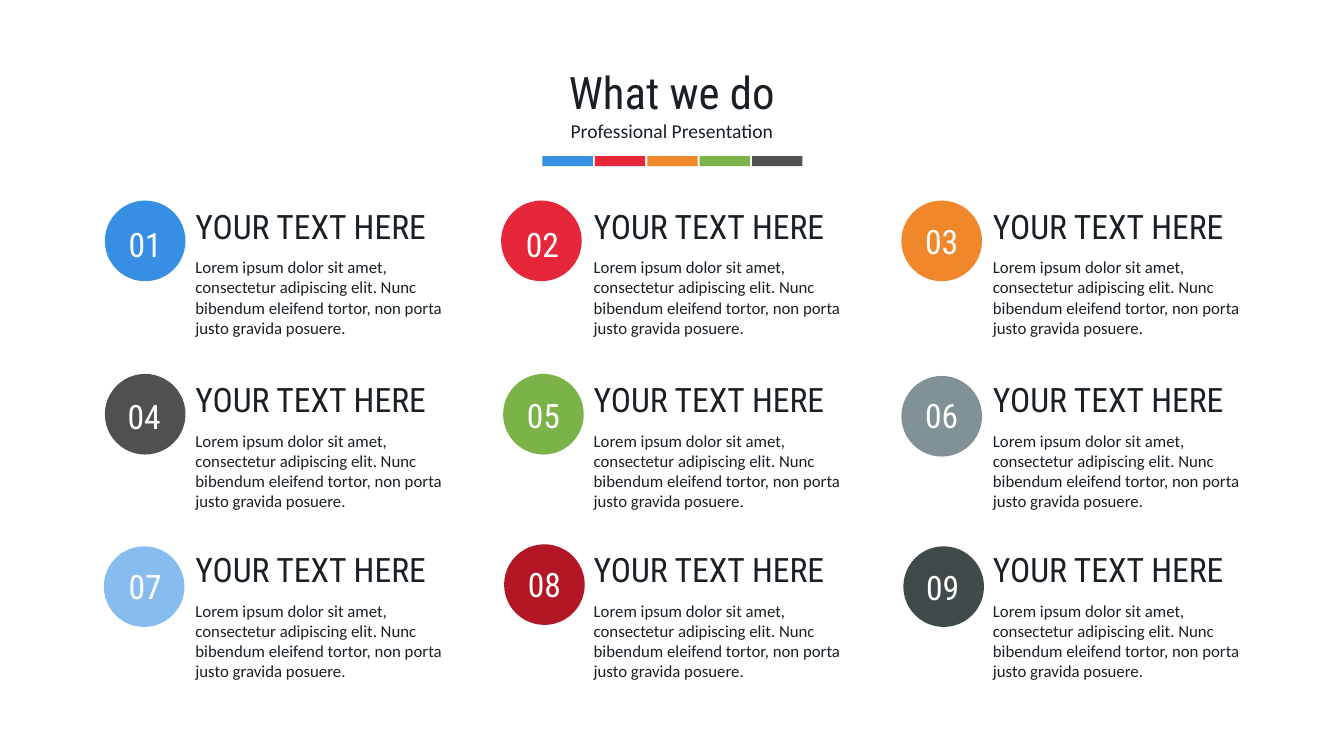
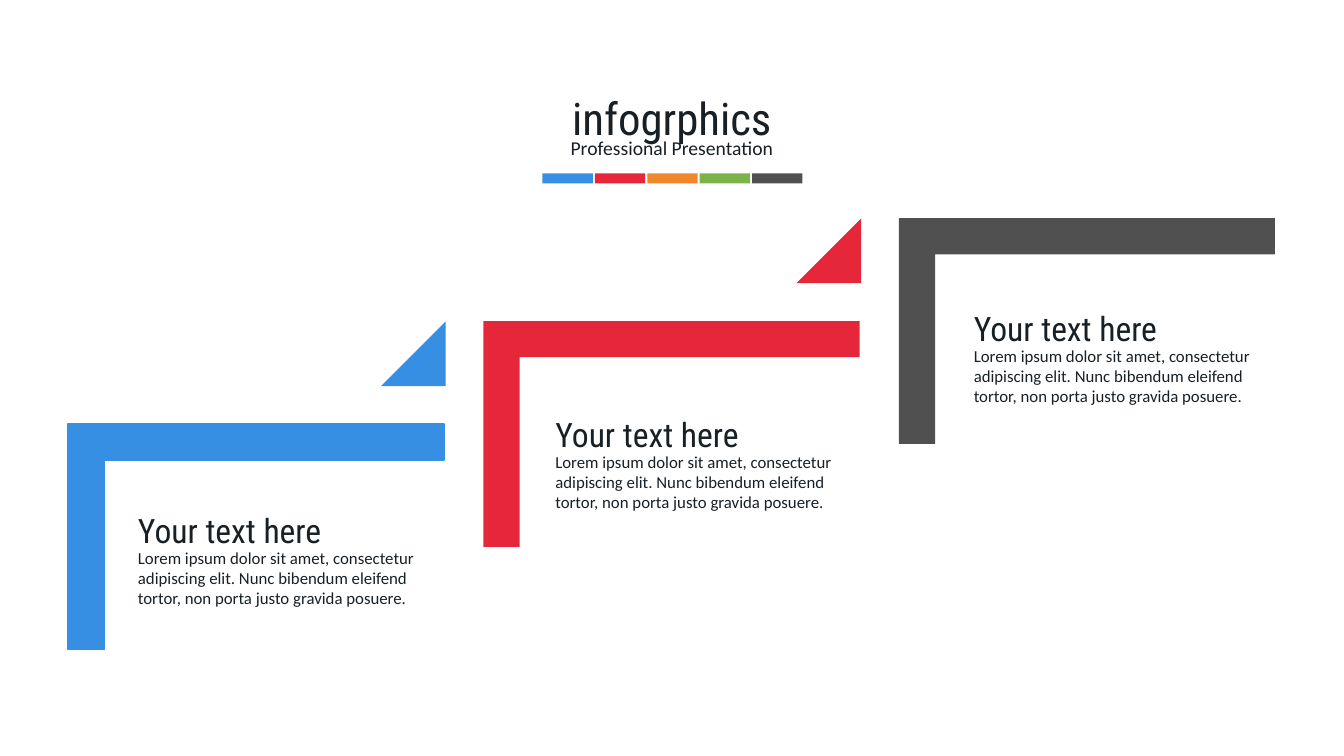
import pptx
import pptx.dml.color
import pptx.enum.shapes
import pptx.enum.text
import pptx.util

PX = 9144
WIDTH, HEIGHT = 1333, 750
COLORS = {
    "ink": "182025",
    "white": "FFFFFF",
    "blue": "368FE2",
    "red": "E52739",
    "orange": "F0872A",
    "green": "7CB349",
    "charcoal": "505050",
    "gray": "809295",
    "sky": "86BCEE",
    "crimson": "B31625",
    "slate": "3F4A4B",
}
HEAD_FONT, BODY_FONT = "Roboto Condensed", "Calibri"
BAND = ("blue", "red", "orange", "green", "charcoal")
LOREM = (
    "Lorem ipsum dolor sit amet, consectetur adipiscing elit. "
    "Nunc bibendum eleifend tortor, non porta justo gravida posuere."
)
SHAPE = pptx.enum.shapes.MSO_SHAPE
ALIGN = pptx.enum.text.PP_ALIGN


def emu(*lengths):
    return [pptx.util.Emu(n * PX) for n in lengths]


def rgb(name):
    return pptx.dml.color.RGBColor.from_string(COLORS[name])


class Deck:
    def __init__(self):
        self.prs = pptx.Presentation()
        self.prs.slide_width, self.prs.slide_height = emu(WIDTH, HEIGHT)
        self.s = None

    def new_slide(self):
        self.s = self.prs.slides.add_slide(self.prs.slide_layouts[6])
        fill = self.s.background.fill
        fill.solid()
        fill.fore_color.rgb = rgb("white")

    def text(self, text, x, y, w, h, size=12, font=BODY_FONT, color="ink", align=ALIGN.LEFT):
        sp = self.s.shapes.add_textbox(*emu(x, y, w, h))
        tf = sp.text_frame
        tf.word_wrap = True
        tf.auto_size = pptx.enum.text.MSO_AUTO_SIZE.SHAPE_TO_FIT_TEXT
        p = tf.paragraphs[0]
        p.alignment = align
        r = p.add_run()
        r.text = text
        r.font.size = pptx.util.Pt(size)
        r.font.name = font
        r.font.color.rgb = rgb(color)

    def shape(self, kind, x, y, w, h, color, adjustments=(), rotation=0, outline=0):
        sp = self.s.shapes.add_shape(kind, *emu(x, y, w, h))
        sp.shadow.inherit = False
        sp.rotation = rotation
        sp.fill.solid()
        sp.fill.fore_color.rgb = rgb(color)
        if outline:
            sp.line.color.rgb = rgb(color)
            sp.line.width = pptx.util.Pt(outline)
        else:
            sp.line.fill.background()
        for i, value in enumerate(adjustments):
            sp.adjustments[i] = value

    def header(self, title, title_y, subtitle_y):
        self.text(title, 0, title_y, WIDTH, 64, size=32, font=HEAD_FONT, align=ALIGN.CENTER)
        self.text("Professional Presentation", 68, subtitle_y, 1197, 34, size=14, align=ALIGN.CENTER)
        for i, color in enumerate(BAND):
            self.shape(SHAPE.RECTANGLE, 538 + 52 * i, subtitle_y + 42, 50, 10, color)

    def caption(self, heading, x, y, w, body_offset, body_h):
        self.text(LOREM, x, y + body_offset, w, body_h)
        self.text(heading, x, y, w, 50, size=24, font=HEAD_FONT)

    def badge(self, number, x, y, label_x, label_y, color):
        self.shape(SHAPE.OVAL, x, y, 80, 80, color)
        self.text(f"{number:02}", label_x, label_y, 64, 50, size=24,
                  font=HEAD_FONT, color="white", align=ALIGN.CENTER)

    def step(self, x, y, color, outline=0, arrow=True):
        self.shape(SHAPE.CORNER, x, y, 224, 373, color, (0.16, 0.16), 90, outline)
        if arrow:
            self.shape(SHAPE.ISOSCELES_TRIANGLE, x + 236, y - 27, 64, 64, color, (1,))


def services(deck):
    deck.new_slide()
    deck.header("What we do", 59, 113)
    badges = [
        (104, 199, 112, 217, "blue"),
        (497, 199, 506, 217, "red"),
        (894, 199, 902, 214, "orange"),
        (104, 371, 111, 388, "charcoal"),
        (499, 371, 507, 387, "green"),
        (894, 373, 902, 387, "gray"),
        (103, 542, 112, 557, "sky"),
        (500, 540, 508, 555, "crimson"),
        (896, 542, 903, 558, "slate"),
    ]
    columns, rows = (184, 579, 975), (199, 371, 540)
    for i, badge in enumerate(badges):
        row, column = divmod(i, len(columns))
        deck.badge(i + 1, *badge)
        deck.caption("YOUR TEXT HERE", columns[column], rows[row], 290, 51, 91)


def infographics(deck):
    deck.new_slide()
    deck.header("infogrphics", 85, 130)
    steps = [
        ("blue", 1, True, 127, 501),
        ("red", 0, True, 541, 406),
        ("charcoal", 0, False, 956, 301),
    ]
    for i, (color, outline, arrow, text_x, text_y) in enumerate(steps):
        deck.step(142 + 412 * i, 346 - 102 * i, color, outline, arrow)
        deck.caption("Your text here", text_x, text_y, 317, 37, 71)


def main():
    deck = Deck()
    services(deck)
    infographics(deck)
    deck.prs.save("out.pptx")


if __name__ == "__main__":
    main()
